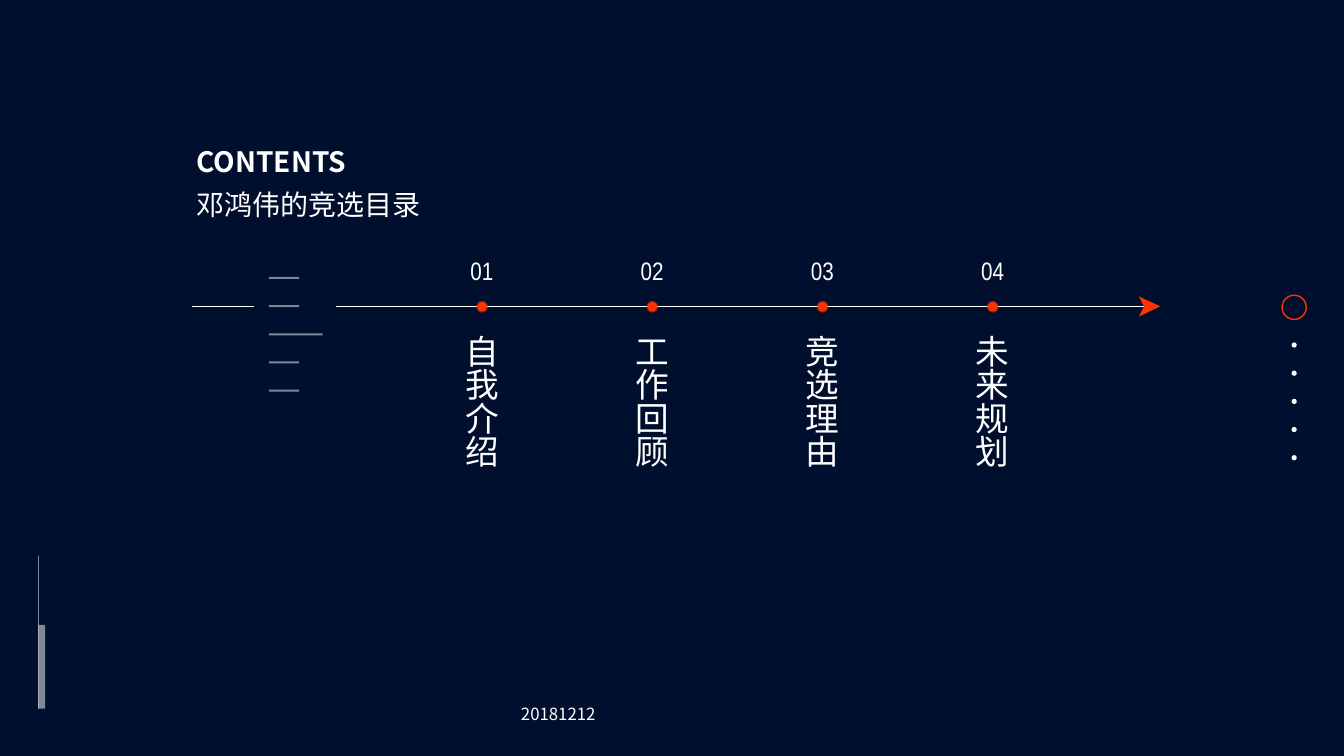
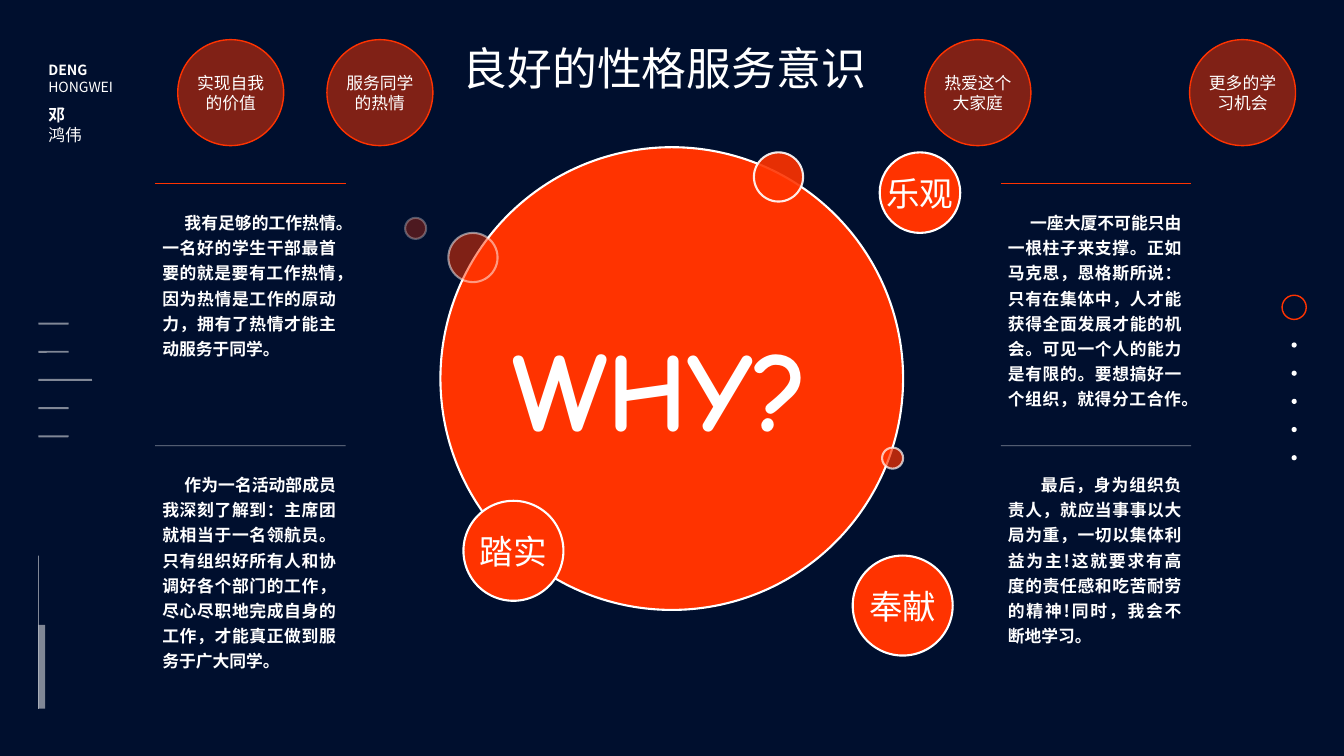
"""Build a contents slide and a motivation slide in one dark style."""
from lxml import etree
from pptx import Presentation
from pptx.dml.color import RGBColor
from pptx.enum.shapes import MSO_CONNECTOR, MSO_SHAPE
from pptx.enum.text import MSO_ANCHOR, PP_ALIGN
from pptx.oxml.ns import qn
from pptx.util import Cm, Pt

NAVY = RGBColor(0x00, 0x0F, 0x2E)
RED = RGBColor(0xFF, 0x33, 0x00)
WHITE = RGBColor(0xFF, 0xFF, 0xFF)
SANS, NARROW, COMIC = "Noto Sans CJK SC", "Arial Narrow", "Comic Neue"
OVAL, RECT, ROUND = MSO_SHAPE.OVAL, MSO_SHAPE.RECTANGLE, MSO_SHAPE.ROUNDED_RECTANGLE
STRAIGHT = MSO_CONNECTOR.STRAIGHT
LEFT, MID, JUST = PP_ALIGN.LEFT, PP_ALIGN.CENTER, PP_ALIGN.JUSTIFY
MIDDLE = MSO_ANCHOR.MIDDLE


def draw(slide, kind, box, fill=None, edge=None, width=1, alphas=()):
    """Add a shape; alphas are the opacities of fill and edge in percent."""
    shape = slide.shapes.add_shape(kind, *map(Cm, box))
    shape.shadow.inherit = False
    if fill is None:
        shape.fill.background()
    else:
        shape.fill.solid()
        shape.fill.fore_color.rgb = fill
    if edge is None:
        shape.line.fill.background()
    else:
        shape.line.color.rgb = edge
        shape.line.width = Pt(width)
    tints = shape._element.spPr.iter(qn("a:srgbClr"))
    for tint, alpha in zip(list(tints), alphas):
        etree.SubElement(tint, qn("a:alpha"), val=str(alpha * 1000))
    return shape


def write(shape, lines, size, align=LEFT, face=SANS, bolds=(False, False)):
    """Fill a shape with white paragraphs and return its text frame."""
    frame = shape.text_frame
    frame.word_wrap = True
    for i, (line, bold) in enumerate(zip(lines, bolds)):
        para = frame.add_paragraph() if i else frame.paragraphs[0]
        para.text = line
        para.alignment = align
        font = para.font
        font.name, font.size, font.bold = face, Pt(size), bold
        font.color.rgb = WHITE
        props = para._p.pPr.find(qn("a:defRPr"))
        etree.SubElement(props, qn("a:ea"), typeface=face)
    return frame


deck = Presentation()
deck.slide_width, deck.slide_height = Cm(33.87), Cm(19.05)
back = deck.slide_master.background.fill
back.solid()
back.fore_color.rgb = NAVY
blank = deck.slide_layouts[6]
index = deck.slides.add_slide(blank)
why = deck.slides.add_slide(blank)

rules = [
    (index, 8.48, 7.72, 29.17, 7.72, WHITE, 0.5, 100),
    (index, 4.85, 7.72, 6.4, 7.72, WHITE, 0.5, 100),
]
for slide in (index, why):
    rules.append((slide, 0.97, 14, 0.97, 17.86, WHITE, 0.5, 50))
for x in (3.91, 25.22):
    rules.append((why, x, 4.62, x + 4.8, 4.62, RED, 1, 100))
    rules.append((why, x, 11.23, x + 4.8, 11.23, WHITE, 0.5, 50))
for slide, x1, y1, x2, y2, color, width, alpha in rules:
    rule = slide.shapes.add_connector(STRAIGHT, Cm(x1), Cm(y1), Cm(x2), Cm(y2))
    rule.line.color.rgb = color
    rule.line.width = Pt(width)
    props = rule._element.spPr
    etree.SubElement(props, qn("a:effectLst"))
    if alpha < 100:
        tint = next(props.iter(qn("a:srgbClr")))
        etree.SubElement(tint, qn("a:alpha"), val=str(alpha * 1000))

for slide, left, top in ((index, 6.78, 6.98), (why, 0.97, 8.13)):
    draw(slide, RECT, (0.97, 15.75, 0.17, 2.11), WHITE, alphas=(50,))
    draw(slide, OVAL, (32.31, 7.44, 0.61, 0.61), edge=RED)
    for i in range(5):
        draw(slide, OVAL, (32.55, 8.63 + 0.71 * i, 0.13, 0.13), WHITE)
        span = 1.35 if i == 2 else 0.76
        draw(slide, ROUND, (left, top + 0.71 * i, span, 0.05), WHITE, alphas=(50,))

tip = index.shapes.build_freeform(Cm(29.24), Cm(7.72), scale=1.0)
tip.add_line_segments([(Cm(28.7), Cm(7.98)), (Cm(28.83), Cm(7.72)), (Cm(28.7), Cm(7.47))])
arrow = tip.convert_to_shape()
arrow.shadow.inherit = False
arrow.fill.solid()
arrow.fill.fore_color.rgb = RED
arrow.line.fill.background()

for i, topic in enumerate(("自我介绍", "工作回顾", "竞选理由", "未来规划")):
    x = 12.15 + 4.29 * i
    draw(index, OVAL, (x - 0.15, 7.58, 0.3, 0.3), RED, alphas=(50,))
    draw(index, OVAL, (x - 0.1, 7.63, 0.2, 0.2), RED, RED)
    box = index.shapes.add_textbox(Cm(x - 0.74), Cm(6.3), Cm(1.47), Cm(1.02))
    write(box, [f"{i + 1:02}"], 18, MID, NARROW)
    box = index.shapes.add_textbox(Cm(x - 0.92), Cm(8.18), Cm(1.52), Cm(4.6))
    frame = write(box, [topic], 24)
    frame._txBody.bodyPr.set("vert", "eaVert")

draw(why, OVAL, (11.1, 3.71, 11.66, 11.66), RED, WHITE, 1.5)
traits = [
    (11.68, 12.62, 2.52, "踏实"),
    (22.17, 3.84, 2.03, "乐观"),
    (21.49, 14, 2.52, "奉献"),
]
for x, y, size, trait in traits:
    disc = draw(why, OVAL, (x, y, size, size), RED, WHITE, 1.5)
    frame = write(disc, [trait], 24, MID)
    frame.word_wrap = False
    frame.vertical_anchor = MIDDLE
bubbles = [
    (11.3, 5.87, 1.24, 50),
    (10.21, 5.49, 0.53, 30),
    (22.23, 11.28, 0.53, 70),
    (19, 3.84, 1.24, 90),
]
for x, y, size, alpha in bubbles:
    draw(why, OVAL, (x, y, size, size), RED, WHITE, 1.5, (alpha, alpha))

motives = [
    (4.48, "实现自我的价值"),
    (8.24, "服务同学的热情"),
    (23.31, "热爱这个大家庭"),
    (29.98, "更多的学习机会"),
]
for x, motive in motives:
    disc = draw(why, OVAL, (x, 1, 2.67, 2.67), RED, RED, 1, (50,))
    frame = write(disc, [motive], 12, MID)
    frame.vertical_anchor = MIDDLE
    frame.margin_left = frame.margin_right = 0
    frame.margin_top = frame.margin_bottom = 0

reasons = [
    (3.84, 5.11, 4.09, 0.56, "我有足够的工作热情。一名好的学生干部最首要的就是要有工作热情，因为热情是工作的原动力，拥有了热情才能主动服务于同学。"),
    (3.84, 11.71, 5.38, 0.56, "作为一名活动部成员我深刻了解到：主席团就相当于一名领航员。只有组织好所有人和协调好各个部门的工作，尽心尽职地完成自身的工作，才能真正做到服务于广大同学。"),
    (25.15, 5.11, 5.38, 0.56, "一座大厦不可能只由一根柱子来支撑。正如马克思，恩格斯所说：只有在集体中，人才能获得全面发展才能的机会。可见一个人的能力是有限的。要想搞好一个组织，就得分工合作。"),
    (25.15, 11.71, 4.75, 0.83, "最后，身为组织负责人，就应当事事以大局为重，一切以集体利益为主!这就要求有高度的责任感和吃苦耐劳的精神!同时，我会不断地学习。"),
]
for x, y, height, indent, reason in reasons:
    box = why.shapes.add_textbox(Cm(x), Cm(y), Cm(4.88), Cm(height))
    para = write(box, [reason], 12, JUST, bolds=(True,)).paragraphs[0]
    para.line_spacing = 1.25
    para._p.pPr.set("indent", str(Cm(indent)))

plain, strong, mixed = (False,), (True,), (True, False)
labels = [
    (index, (4.7, 3.51, 5.28, 1.12), ["CONTENTS"], 20, LEFT, SANS, strong),
    (index, (4.7, 4.6, 6.53, 1.12), ["邓鸿伟的竞选目录"], 20, LEFT, SANS, plain),
    (index, (12.88, 17.6, 8.1, 0.76), ["20181212"], 12, JUST, SANS, plain),
    (why, (10.74, 0.91, 12.01, 1.63), ["良好的性格服务意识"], 32, MID, SANS, plain),
    (why, (0.97, 1.42, 3.02, 1.12), ["DENG", "HONGWEI"], 10, LEFT, SANS, mixed),
    (why, (0.97, 2.51, 1.96, 1.27), ["邓", "鸿伟"], 12, LEFT, SANS, mixed),
    (why, (12.67, 7.92, 8.53, 3.68), ["WHY?"], 80, LEFT, COMIC, strong),
]
for slide, place, lines, size, align, face, bolds in labels:
    box = slide.shapes.add_textbox(*map(Cm, place))
    write(box, lines, size, align, face, bolds)

deck.save("out.pptx")
